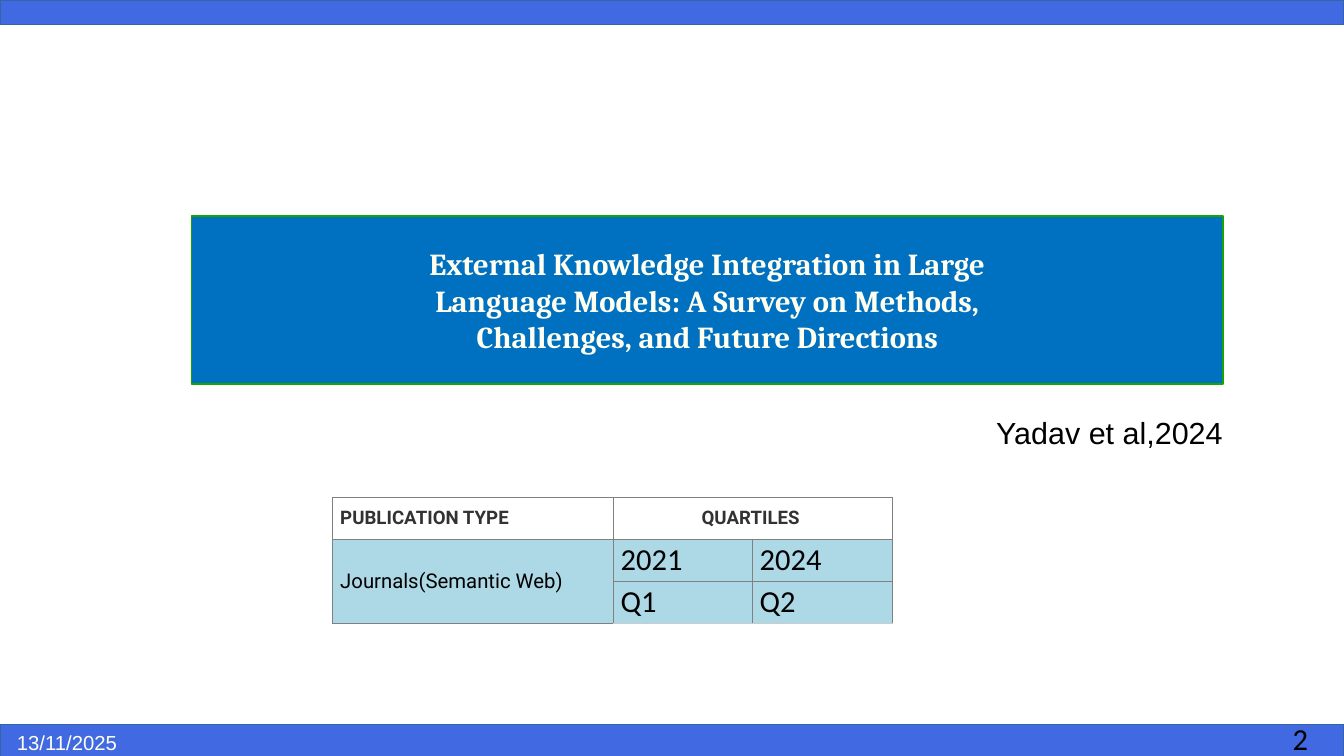
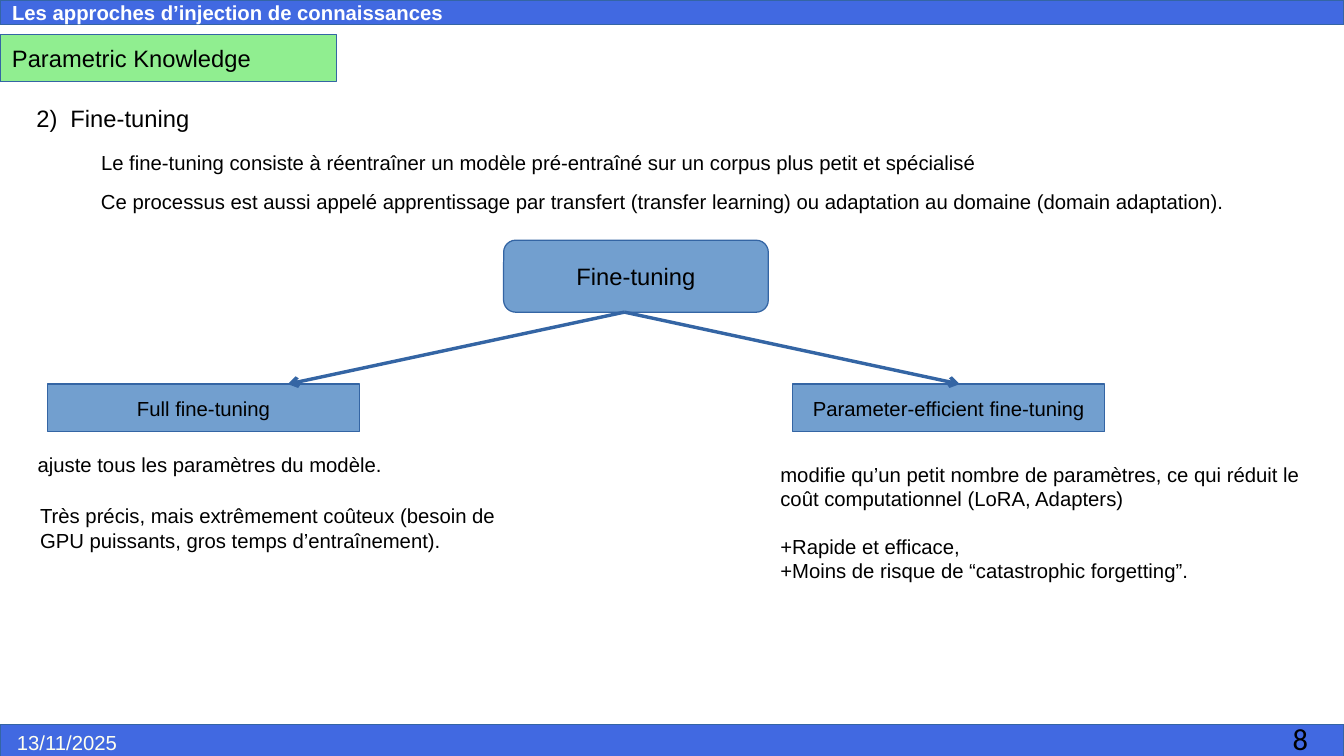
from dataclasses import dataclass

import lxml.etree
import pptx
import pptx.dml.color
import pptx.enum.shapes
import pptx.enum.text
import pptx.oxml.ns
import pptx.presentation
import pptx.shapes.autoshape
import pptx.slide
import pptx.table
import pptx.text.text
import pptx.util

Inches = pptx.util.Inches
Pt = pptx.util.Pt
RGBColor = pptx.dml.color.RGBColor
Shape = pptx.enum.shapes.MSO_SHAPE
Align = pptx.enum.text.PP_ALIGN
Anchor = pptx.enum.text.MSO_ANCHOR
qn = pptx.oxml.ns.qn

BLACK = RGBColor(0x00, 0x00, 0x00)
WHITE = RGBColor(0xFF, 0xFF, 0xFF)
IVORY = RGBColor(0xFF, 0xFF, 0xF0)
BAND_BLUE = RGBColor(0x41, 0x69, 0xE1)
EDGE_BLUE = RGBColor(0x34, 0x65, 0xA4)
NODE_BLUE = RGBColor(0x72, 0x9F, 0xCF)
TITLE_BLUE = RGBColor(0x00, 0x70, 0xC0)
TITLE_EDGE = RGBColor(0x18, 0xA3, 0x03)
TAG_GREEN = RGBColor(0x90, 0xEE, 0x90)
CELL_BLUE = RGBColor(0xAD, 0xD8, 0xE6)
HEADER_INK = RGBColor(0x32, 0x32, 0x32)
GRID = RGBColor(0x80, 0x80, 0x80)
PALE_GRID = RGBColor(0xCC, 0xCC, 0xCC)

PAGE_WIDTH, PAGE_HEIGHT = 11.02, 6.2
DATE = "13/11/2025"


@dataclass(frozen=True)
class Style:
    size: float = 12
    font: str = "Arial"
    color: RGBColor = BLACK
    bold: bool = False
    align: Align = Align.LEFT


@dataclass(frozen=True)
class Area:
    left: float
    top: float
    width: float
    height: float

    def lengths(self) -> list[pptx.util.Length]:
        return [Inches(value) for value in (self.left, self.top, self.width, self.height)]


@dataclass(frozen=True)
class Note:
    area: Area
    lines: tuple[str, ...]
    style: Style = Style()


@dataclass(frozen=True)
class Panel:
    area: Area
    fill: RGBColor
    lines: tuple[str, ...] = ()
    style: Style = Style()
    preset: Shape = Shape.RECTANGLE
    edge: RGBColor = EDGE_BLUE
    edge_width: float = 0


@dataclass(frozen=True)
class Cell:
    row: int
    column: int
    text: str
    style: Style
    fill: RGBColor = CELL_BLUE
    last_row: int = 0
    last_column: int = 0
    bottom: RGBColor = GRID


def set_values(target: object, values: dict[str, object]) -> None:
    for name, value in values.items():
        setattr(target, name, value)


def write(frame: pptx.text.text.TextFrame, lines: tuple[str, ...], style: Style) -> None:
    for index, line in enumerate(lines):
        para = frame.add_paragraph() if index else frame.paragraphs[0]
        para.alignment = style.align
        span = para.add_run()
        span.text = line
        set_values(span.font, {"size": Pt(style.size), "name": style.font, "bold": style.bold})
        span.font.color.rgb = style.color


def add_note(page: pptx.slide.Slide, note: Note) -> pptx.text.text.TextFrame:
    frame = page.shapes.add_textbox(*note.area.lengths()).text_frame
    frame.word_wrap = True
    write(frame, note.lines, note.style)
    return frame


def add_panel(page: pptx.slide.Slide, panel: Panel) -> None:
    box = page.shapes.add_shape(panel.preset, *panel.area.lengths())
    box.shadow.inherit = False
    box.fill.solid()
    box.fill.fore_color.rgb = panel.fill
    box.line.color.rgb = panel.edge
    box.line.width = Pt(panel.edge_width)
    set_values(box.text_frame, {"word_wrap": True, "vertical_anchor": Anchor.MIDDLE})
    write(box.text_frame, panel.lines, panel.style)


def add_arrow(page: pptx.slide.Slide, start: tuple[float, float], end: tuple[float, float]) -> None:
    arrow = page.shapes.add_connector(
        pptx.enum.shapes.MSO_CONNECTOR.STRAIGHT, *(Inches(value) for value in start + end)
    )
    arrow.line.color.rgb = EDGE_BLUE
    arrow.line.width = Pt(0)
    lxml.etree.SubElement(arrow.line._get_or_add_ln(), qn("a:tailEnd"), type="arrow")
    lxml.etree.SubElement(arrow._element.spPr, qn("a:effectLst"))


def number_paragraph(para: pptx.text.text._Paragraph, start: int, indent: float) -> None:
    properties = para._p.get_or_add_pPr()
    properties.set("marL", str(Inches(indent)))
    properties.set("indent", str(-Inches(indent)))
    lxml.etree.SubElement(
        properties, qn("a:buAutoNum"), type="arabicParenR", startAt=str(start)
    )


def set_borders(cell: pptx.table._Cell, bottom: RGBColor) -> None:
    properties = cell._tc.get_or_add_tcPr()
    for side, color in (("L", GRID), ("R", GRID), ("T", GRID), ("B", bottom)):
        line = lxml.etree.SubElement(properties, qn(f"a:ln{side}"), w=str(Pt(0.75)))
        fill = lxml.etree.SubElement(line, qn("a:solidFill"))
        lxml.etree.SubElement(fill, qn("a:srgbClr"), val=str(color))


def add_quartile_table(page: pptx.slide.Slide) -> None:
    header = Style(11, "Roboto", HEADER_INK, True)
    header_centred = Style(11, "Roboto", HEADER_INK, True, Align.CENTER)
    value = Style(18, "Calibri")
    cells = (
        Cell(0, 0, "PUBLICATION TYPE", header, WHITE),
        Cell(0, 1, "QUARTILES", header_centred, WHITE, last_column=2),
        Cell(1, 0, "Journals(Semantic Web)", Style(12, "Roboto"), last_row=2),
        Cell(1, 1, "2021", value),
        Cell(1, 2, "2024", value),
        Cell(2, 1, "Q1", value, bottom=PALE_GRID),
        Cell(2, 2, "Q2", value, bottom=PALE_GRID),
    )
    area = Area(2.73, 4.08, 4.59, 1.03)
    table = page.shapes.add_table(3, 3, *area.lengths()).table
    set_values(table, {"first_row": False, "horz_banding": False})
    for column, width in zip(table.columns, (2.3, 1.14, 1.15)):
        column.width = Inches(width)
    margins = {"margin_left": 0.06, "margin_right": 0.1, "margin_top": 0.02, "margin_bottom": 0.02}
    for item in cells:
        cell = table.cell(item.row, item.column)
        last_row = max(item.row, item.last_row)
        last_column = max(item.column, item.last_column)
        if (last_row, last_column) != (item.row, item.column):
            cell.merge(table.cell(last_row, last_column))
        for row in range(item.row, last_row + 1):
            for column in range(item.column, last_column + 1):
                part = table.cell(row, column)
                set_borders(part, item.bottom)
                part.fill.solid()
                part.fill.fore_color.rgb = item.fill
        set_values(cell, {name: Inches(margin) for name, margin in margins.items()})
        cell.vertical_anchor = Anchor.MIDDLE
        write(cell.text_frame, (item.text,), item.style)


def add_page(deck: pptx.presentation.Presentation, number: str, heading: str = "") -> pptx.slide.Slide:
    """Add a blank page with the top band, the footer band, the date and the page number."""
    page = deck.slides.add_slide(deck.slide_layouts[6])
    lines = (heading,) if heading else ()
    add_panel(page, Panel(Area(0, 0, PAGE_WIDTH, 0.2), BAND_BLUE, lines, Style(color=WHITE, bold=True)))
    add_panel(page, Panel(Area(0, 5.94, PAGE_WIDTH, 0.3), BAND_BLUE))
    add_note(page, Note(Area(10.5, 5.86, 0.52, 0.57), (number,), Style(18, "Calibri")))
    add_note(page, Note(Area(0.04, 5.94, 1.73, 0.29), (DATE,), Style(color=IVORY)))
    return page


def build_survey_page(deck: pptx.presentation.Presentation) -> None:
    page = add_page(deck, "2")
    title = (
        "External Knowledge Integration in Large",
        "Language Models: A Survey on Methods,",
        "Challenges, and Future Directions",
    )
    add_panel(page, Panel(
        Area(1.57, 1.77, 8.46, 1.38), TITLE_BLUE, title,
        Style(18, "Cambria", IVORY, True, Align.CENTER), edge=TITLE_EDGE, edge_width=1,
    ))
    add_note(page, Note(Area(8.07, 3.35, 2.36, 0.67), ("Yadav et al,2024",), Style(18)))
    add_quartile_table(page)


def build_fine_tuning_page(deck: pptx.presentation.Presentation) -> None:
    page = add_page(deck, "8", "Les approches d’injection de connaissances")
    add_panel(page, Panel(Area(0, 0.28, 2.76, 0.39), TAG_GREEN, ("Parametric Knowledge",), Style(14)))
    section = add_note(page, Note(Area(0.2, 0.8, 2.76, 0.38), ("Fine-tuning",), Style(14)))
    number_paragraph(section.paragraphs[0], start=2, indent=0.28)

    root_bottom, branch_top = 2.56, 3.15
    add_panel(page, Panel(
        Area(4.13, 1.97, 2.17, root_bottom - 1.97), NODE_BLUE, ("Fine-tuning",),
        Style(14, align=Align.CENTER), Shape.ROUNDED_RECTANGLE,
    ))
    branches = (
        (0.39, 2.36, "Full fine-tuning"),
        (6.5, 7.87, "Parameter-efficient fine-tuning"),
    )
    for left, arrow_end, label in branches:
        add_panel(page, Panel(
            Area(left, branch_top, 2.56, 0.39), NODE_BLUE, (label,), Style(align=Align.CENTER)
        ))
        add_arrow(page, (5.12, root_bottom), (arrow_end, branch_top))

    notes = (
        Note(Area(0.73, 1.18, 8.71, 0.47), (
            "Le fine-tuning consiste à réentraîner un modèle pré-entraîné sur un corpus plus petit et spécialisé",
        )),
        Note(Area(0.73, 1.5, 9.84, 0.47), (
            "Ce processus est aussi appelé apprentissage par transfert (transfer learning) "
            "ou adaptation au domaine (domain adaptation).",
        )),
        Note(Area(0.21, 3.66, 3.72, 0.47), ("ajuste tous les paramètres du modèle.",)),
        Note(Area(0.23, 4.08, 4.29, 1.03), (
            "Très précis, mais extrêmement coûteux (besoin de GPU puissants, gros temps d’entraînement).",
        )),
        Note(Area(6.3, 3.74, 4.72, 0.66), (
            "modifie qu’un petit nombre de paramètres, ce qui réduit le coût computationnel (LoRA, Adapters)",
        )),
        Note(Area(6.3, 4.33, 4.53, 1.05), (
            "+Rapide et efficace,",
            "+Moins de risque de “catastrophic forgetting”.",
        )),
    )
    for note in notes:
        add_note(page, note)


def main() -> None:
    deck = pptx.Presentation()
    set_values(deck, {"slide_width": Inches(PAGE_WIDTH), "slide_height": Inches(PAGE_HEIGHT)})
    build_survey_page(deck)
    build_fine_tuning_page(deck)
    deck.save("out.pptx")


if __name__ == "__main__":
    main()
